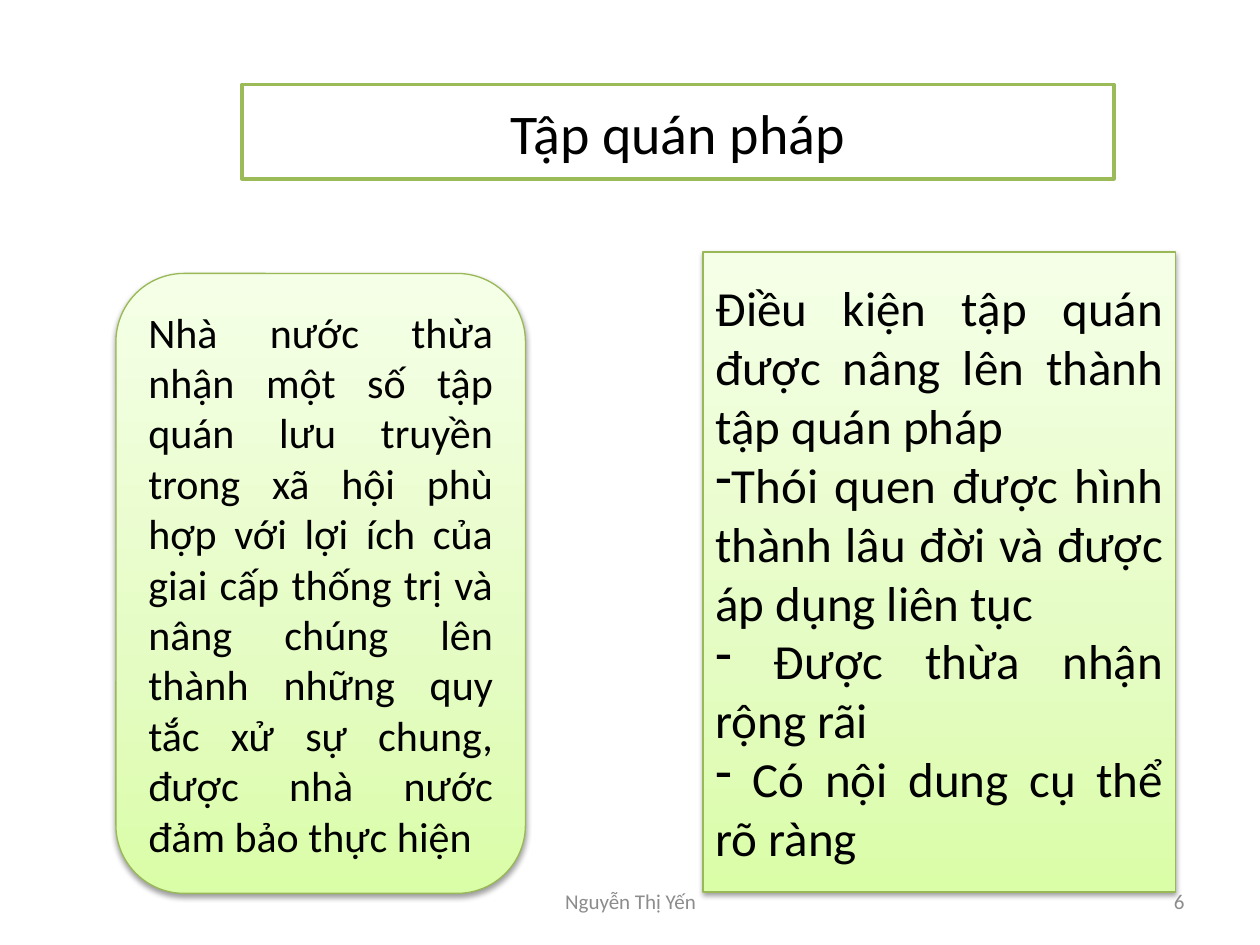
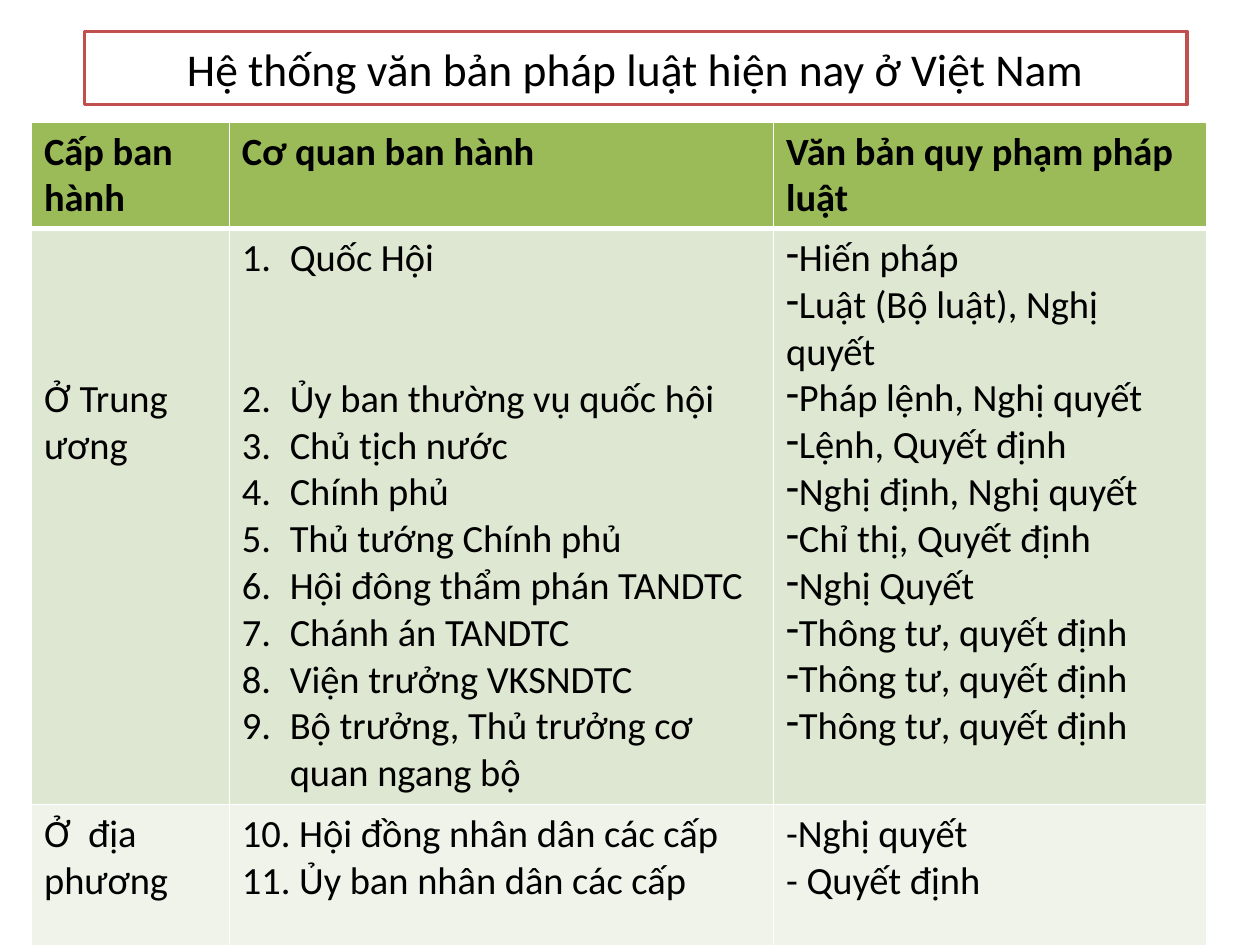
"""Builds two slides on customary law and the system of legal documents in Vietnam."""
import copy
import pptx
import pptx.util
import pptx.dml.color
import pptx.enum.shapes
import pptx.enum.text
import pptx.oxml.ns
from lxml import etree

Inches, Pt = pptx.util.Inches, pptx.util.Pt
SHAPE = pptx.enum.shapes.MSO_SHAPE
ALIGN = pptx.enum.text.PP_ALIGN
MIDDLE = pptx.enum.text.MSO_ANCHOR.MIDDLE
qn = pptx.oxml.ns.qn

COLORS = {"text": "000000", "white": "FFFFFF", "green": "9BBB59", "edge": "98B955",
          "red": "C0504D", "footer": "8C8C8C", "band1": "DEE7D1", "band2": "EFF3EA"}
GRADIENT = [(0, "DAFDA7"), (0.35, "E4FCC2"), (1, "F5FFE7")]
FONT = "Calibri"

TITLES = [
    ("Tập quán pháp", (1.92, 0.67, 6.92, 0.75), 32, "green"),
    ("Hệ thống văn bản pháp luật hiện nay ở Việt Nam", (0.67, 0.25, 8.75, 0.58), 26, "red"),
]
CARDS = [
    (SHAPE.ROUNDED_RECTANGLE, (0.92, 2.17, 3.25, 4.92), 24,
     ["Nhà nước thừa nhận một số tập quán lưu truyền trong xã hội phù hợp với lợi ích của "
      "giai cấp thống trị và nâng chúng lên thành những quy tắc xử sự chung, được nhà nước "
      "đảm bảo thực hiện"], []),
    (SHAPE.RECTANGLE, (5.58, 2, 3.75, 5.08), 28,
     ["Điều kiện tập quán được nâng lên thành tập quán pháp"],
     ["Thói quen được hình thành lâu đời và được áp dụng liên tục",
      " Được thừa nhận rộng rãi", " Có nội dung cụ thể rõ ràng"]),
]
FOOTERS = [
    ("6", (7.17, 6.95, 2.33, 0.4), ALIGN.RIGHT),
    ("Nguyễn Thị Yến", (3.42, 6.95, 3.17, 0.4), ALIGN.CENTER),
]

HEADER = [["Cấp ban hành"], ["Cơ quan ban hành"], ["Văn bản quy phạm pháp luật"]]
CENTRAL = [
    ["Ở Trung ương"],
    ["Quốc Hội", "Ủy ban thường vụ quốc hội", "Chủ tịch nước", "Chính phủ",
     "Thủ tướng Chính phủ", "Hội đông thẩm phán TANDTC", "Chánh án TANDTC",
     "Viện trưởng VKSNDTC", "Bộ trưởng, Thủ trưởng cơ quan ngang bộ"],
    ["Hiến pháp", "Luật (Bộ luật), Nghị quyết", "Pháp lệnh, Nghị quyết", "Lệnh, Quyết định",
     "Nghị định, Nghị quyết", "Chỉ thị, Quyết định", "Nghị Quyết"]
    + ["Thông tư, quyết định"] * 3,
]
LOCAL = [
    ["Ở  địa phương"],
    ["10. Hội đồng nhân dân các cấp", "11. Ủy ban nhân dân các cấp"],
    ["-Nghị quyết", "- Quyết định"],
]
ROWS = [(HEADER, 0.83, "green"), (CENTRAL, 4.57, "band1"), (LOCAL, 1.13, "band2")]
TABLE_AT = (0.25, 0.97)
COLUMNS = [1.57, 4.32, 3.44]
TABLE_SIZE = 22
LINE_HEIGHT = 26.85


def rgb(name):
    return pptx.dml.color.RGBColor.from_string(COLORS.get(name, name))


def box(at):
    return [Inches(v) for v in at]


def add_text(tf, paragraphs, size, color="text", align=None, bold=False):
    for i, text in enumerate(paragraphs):
        p = tf.paragraphs[0] if i == 0 else tf.add_paragraph()
        if align is not None:
            p.alignment = align
        r = p.add_run()
        r.text = text
        for key, value in {"name": FONT, "size": Pt(size), "bold": bold}.items():
            setattr(r.font, key, value)
        r.font.color.rgb = rgb(color)


def set_bullet(p, tag, indent=0, **attributes):
    pPr = p._p.get_or_add_pPr()
    pPr.set("marL", str(Inches(indent)))
    pPr.set("indent", str(-Inches(indent)))
    etree.SubElement(pPr, qn("a:buFontTx"))
    etree.SubElement(pPr, qn(tag), attributes)


def add_title(s, text, at, size, line):
    sp = s.shapes.title
    for key, value in zip(("left", "top", "width", "height"), box(at)):
        setattr(sp, key, value)
    sp.fill.solid()
    sp.fill.fore_color.rgb = rgb("white")
    sp.line.color.rgb = rgb(line)
    sp.line.width = Pt(2)
    sp.text_frame.vertical_anchor = MIDDLE
    add_text(sp.text_frame, [text], size, align=ALIGN.CENTER)


def fill_gradient(sp):
    sp.fill.gradient()
    sp.fill.gradient_angle = 90
    stops = sp._element.spPr.find(".//" + qn("a:gsLst"))
    stops.append(copy.deepcopy(stops[-1]))
    for stop, (position, color) in zip(sp.fill.gradient_stops, GRADIENT):
        stop.position = position
        stop.color.rgb = rgb(color)


def add_shadow(sp):
    sp.shadow.inherit = False
    effects = sp._element.spPr.find(qn("a:effectLst"))
    shadow = etree.SubElement(effects, qn("a:outerShdw"), blurRad=str(Pt(3.1)),
                              dist=str(Pt(1.6)), dir="5400000", rotWithShape="0")
    color = etree.SubElement(shadow, qn("a:srgbClr"), val=COLORS["text"])
    etree.SubElement(color, qn("a:alpha"), val="38000")


def add_card(s, shape, at, size, plain, bulleted):
    sp = s.shapes.add_shape(shape, *box(at))
    fill_gradient(sp)
    sp.line.color.rgb = rgb("edge")
    sp.line.width = Pt(0.75)
    add_shadow(sp)
    tf = sp.text_frame
    tf.word_wrap = True
    tf.vertical_anchor = MIDDLE
    add_text(tf, plain + bulleted, size, align=ALIGN.JUSTIFY)
    for p in tf.paragraphs[len(plain):]:
        set_bullet(p, "a:buChar", char="-")


def add_footer(s, text, at, align):
    tf = s.shapes.add_textbox(*box(at)).text_frame
    tf.word_wrap = True
    tf.vertical_anchor = MIDDLE
    add_text(tf, [text], 12, "footer", align)


def set_borders(cell, widths):
    tcPr = cell._tc.get_or_add_tcPr()
    for i, (side, width) in enumerate(widths.items()):
        ln = etree.Element(qn("a:ln" + side), w=str(Pt(width)))
        solid = etree.SubElement(ln, qn("a:solidFill"))
        etree.SubElement(solid, qn("a:srgbClr"), val=COLORS["white"])
        tcPr.insert(i, ln)


def add_documents_table(s):
    heights = [height for _, height, _ in ROWS]
    size = (sum(COLUMNS), sum(heights))
    table = s.shapes.add_table(len(ROWS), len(COLUMNS), *box(TABLE_AT + size)).table
    table.horz_banding = False
    for column, width in zip(table.columns, COLUMNS):
        column.width = Inches(width)
    for i, (texts, height, fill) in enumerate(ROWS):
        table.rows[i].height = Inches(height)
        for j, paragraphs in enumerate(texts):
            cell = table.cell(i, j)
            cell.fill.solid()
            cell.fill.fore_color.rgb = rgb(fill)
            set_borders(cell, {"L": 1, "R": 1, "T": 3 if i == 1 else 1, "B": 3 if i == 0 else 1})
            add_text(cell.text_frame, paragraphs, TABLE_SIZE, bold=i == 0)
    level, bodies, documents = [table.cell(1, j) for j in range(3)]
    level.margin_top = Inches(0.05) + Pt(3 * LINE_HEIGHT)
    for p in bodies.text_frame.paragraphs:
        set_bullet(p, "a:buAutoNum", 0.38, type="arabicPeriod")
    bodies.text_frame.paragraphs[1].space_before = Pt(2 * LINE_HEIGHT)
    for p in documents.text_frame.paragraphs:
        set_bullet(p, "a:buChar", char="-")


def main():
    prs = pptx.Presentation()
    prs.slide_width, prs.slide_height = Inches(10), Inches(7.5)
    slides = [prs.slides.add_slide(prs.slide_layouts[5]) for _ in TITLES]
    for s, title in zip(slides, TITLES):
        add_title(s, *title)
    for card in CARDS:
        add_card(slides[0], *card)
    for footer in FOOTERS:
        add_footer(slides[0], *footer)
    add_documents_table(slides[1])
    prs.save("out.pptx")


if __name__ == "__main__":
    main()
